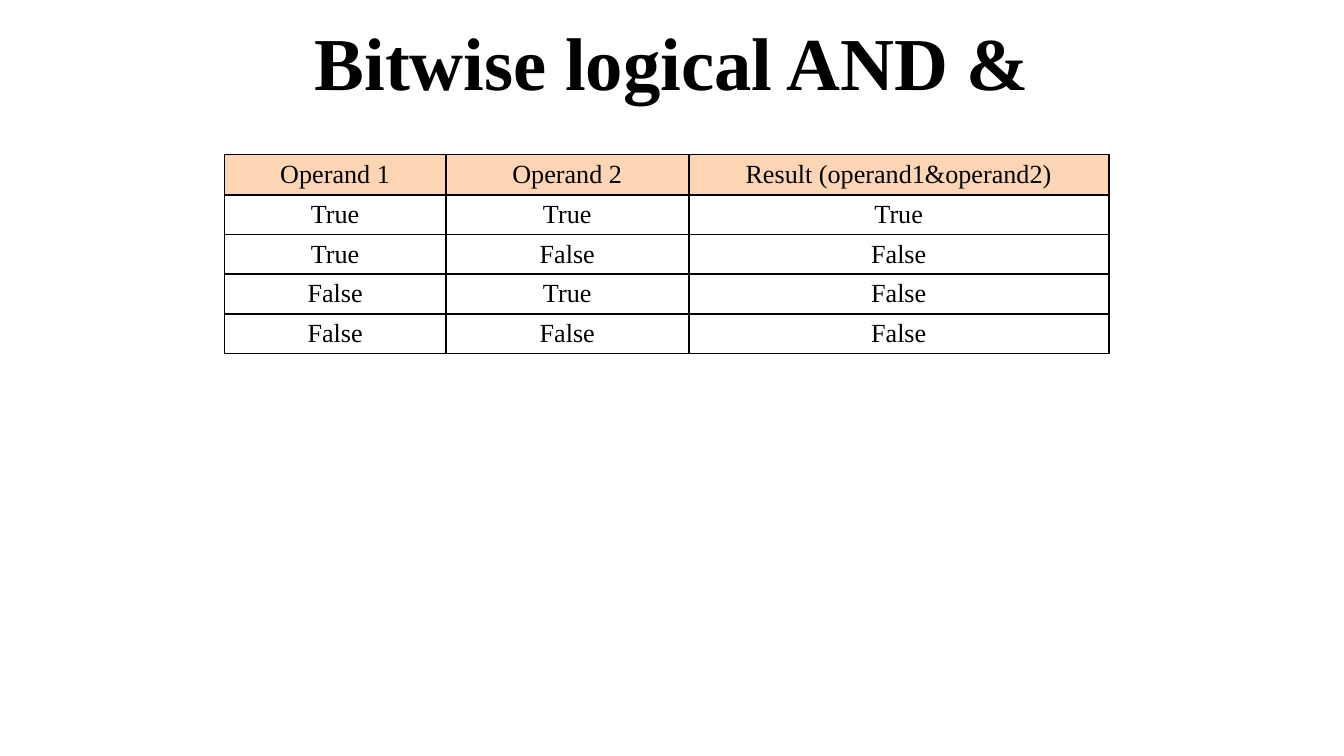
import itertools
from dataclasses import dataclass

import lxml.etree
import pptx
import pptx.dml.color
import pptx.enum.text
import pptx.oxml.ns
import pptx.util

Inches = pptx.util.Inches


@dataclass(frozen=True)
class Theme:
    font: str = "Times New Roman"
    ink: str = "000000"
    head: str = "FCD5B5"
    title: int = 40
    body: int = 14
    rule: int = 1


THEME = Theme()


def color(code):
    return pptx.dml.color.RGBColor.from_string(code)


def write(frame, text, size=THEME.body, bold=False, ink=THEME.ink):
    frame.text = text
    para = frame.paragraphs[0]
    para.alignment = pptx.enum.text.PP_ALIGN.CENTER
    font = para.runs[0].font
    font.name = THEME.font
    font.size = pptx.util.Pt(size)
    font.bold = bold
    font.color.rgb = color(ink)


def border(cell):
    props = cell._tc.get_or_add_tcPr()
    tag = pptx.oxml.ns.qn
    for side in ("lnL", "lnR", "lnT", "lnB"):
        line = lxml.etree.SubElement(props, tag(f"a:{side}"), w=str(pptx.util.Pt(THEME.rule)))
        fill = lxml.etree.SubElement(line, tag("a:solidFill"))
        lxml.etree.SubElement(fill, tag("a:srgbClr"), val=THEME.ink)


def add_title(slide, box, text):
    title = slide.shapes.title
    title.left, title.top, title.width, title.height = map(Inches, box)
    title.text_frame.vertical_anchor = pptx.enum.text.MSO_ANCHOR.MIDDLE
    write(title.text_frame, text, size=THEME.title, bold=True)


def add_grid(slide, box, rows, parts):
    left, top, width, height = map(Inches, box)
    table = slide.shapes.add_table(len(rows), len(parts), left, top, width, height).table
    for column, part in zip(table.columns, parts):
        column.width = int(width * part / sum(parts))
    for r, row in enumerate(rows):
        table.rows[r].height = Inches(0.18 if r else 0.3)
        for c, text in enumerate(row):
            cell = table.cell(r, c)
            cell.margin_top = cell.margin_bottom = Inches(0.04)
            border(cell)
            if r == 0:
                cell.fill.solid()
                cell.fill.fore_color.rgb = color(THEME.head)
            else:
                cell.fill.background()
            write(cell.text_frame, text)


def main():
    deck = pptx.Presentation()
    deck.slide_width = Inches(10)
    deck.slide_height = deck.slide_width * 9 // 16
    slide = deck.slides.add_slide(deck.slide_layouts[5])
    add_title(slide, (0.5, -0.02, 9, 0.94), "Bitwise logical AND &")
    rows = [("Operand 1", "Operand 2", "Result (operand1&operand2)")]
    for one, two in itertools.product((True, False), repeat=2):
        rows.append((str(one), str(two), str(one & two)))
    add_grid(slide, (1.67, 1.15, 6.58, 1.54), rows, (1.65, 1.81, 3.13))
    deck.save("out.pptx")


if __name__ == "__main__":
    main()
